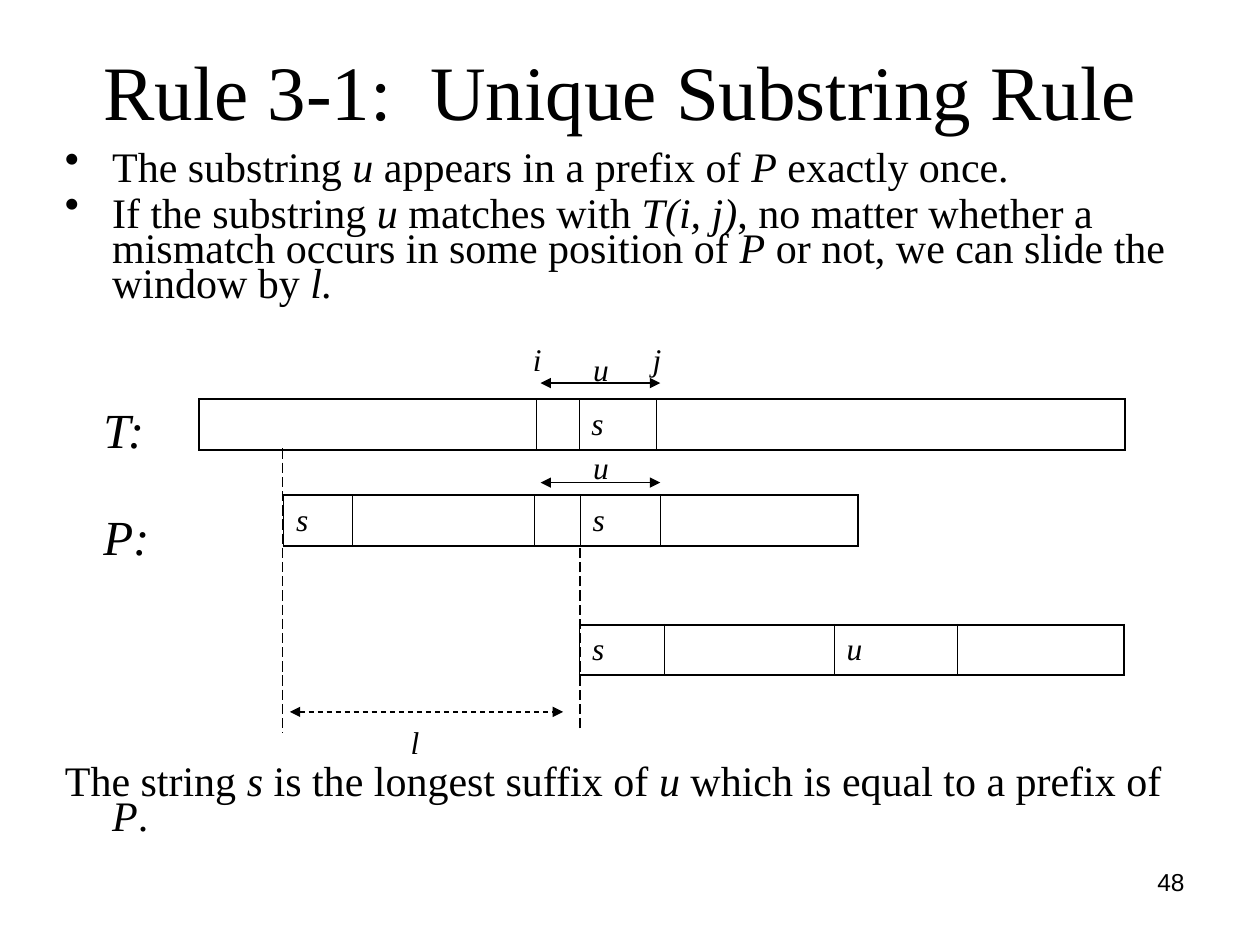
from lxml.etree import SubElement
from pptx import Presentation
from pptx.dml.color import RGBColor
from pptx.enum.dml import MSO_LINE
from pptx.enum.shapes import MSO_CONNECTOR
from pptx.enum.text import MSO_ANCHOR, PP_ALIGN
from pptx.oxml.ns import qn
from pptx.util import Pt


def color(value):
    return RGBColor.from_string(value)


class RulePage:
    ink = "000000"
    serif = "Times New Roman"
    sans = "Arial"
    label_size = 18
    outer_border = 1.08
    inner_border = 0.45

    def __init__(self, deck):
        self.page = deck.slides.add_slide(deck.slide_layouts[6])

    def style(self, para, size, name=None, italic=None):
        font = para.font
        font.name = name or self.serif
        font.size = Pt(size)
        font.color.rgb = color(self.ink)
        if italic is not None:
            font.italic = italic

    def add_spans(self, para, marked):
        for index, part in enumerate(marked.split("*")):
            if part:
                span = para.add_run()
                span.text = part
                span.font.italic = index % 2 == 1

    def box(self, left, top, width, height):
        frame = self.page.shapes.add_textbox(
            Pt(left), Pt(top), Pt(width), Pt(height)).text_frame
        frame.word_wrap = True
        return frame

    def line_of_text(self, text, left, top, width, height, size,
                     name=None, italic=False, align=PP_ALIGN.LEFT,
                     anchor=MSO_ANCHOR.TOP):
        frame = self.box(left, top, width, height)
        frame.vertical_anchor = anchor
        para = frame.paragraphs[0]
        para.text = text
        para.alignment = align
        self.style(para, size, name, italic)

    def label(self, text, left, top):
        self.line_of_text(text, left, top, 21, 29, self.label_size, italic=True)

    def body(self, texts, top, height, bullet=None):
        frame = self.box(30, top, 666, height)
        for index, text in enumerate(texts):
            para = frame.add_paragraph() if index else frame.paragraphs[0]
            para.line_spacing = 0.7
            if index:
                para.space_before = Pt(6)
            props = para._p.get_or_add_pPr()
            props.set("marL", str(Pt(27)))
            props.set("indent", str(Pt(-27)))
            if bullet:
                tint = SubElement(props, qn("a:buClr"))
                SubElement(tint, qn("a:srgbClr")).set("val", self.ink)
                SubElement(props, qn("a:buChar")).set("char", bullet)
            self.style(para, 24)
            self.add_spans(para, text)

    def border(self, cell, side, width):
        edge = SubElement(cell._tc.get_or_add_tcPr(), qn(f"a:ln{side}"))
        edge.set("w", str(Pt(width)))
        fill = SubElement(edge, qn("a:solidFill"))
        SubElement(fill, qn("a:srgbClr")).set("val", self.ink)

    def strip(self, left, top, widths, texts):
        height = Pt(28.8)
        table = self.page.shapes.add_table(
            1, len(widths), Pt(left), Pt(top), Pt(sum(widths)), height).table
        table.first_row = False
        table.horz_banding = False
        table.rows[0].height = height
        last = len(widths) - 1
        for index, (width, text) in enumerate(zip(widths, texts)):
            table.columns[index].width = Pt(width)
            cell = table.cell(0, index)
            cell.vertical_anchor = MSO_ANCHOR.MIDDLE
            para = cell.text_frame.paragraphs[0]
            para.text = text
            self.style(para, self.label_size, italic=True)
            sides = {"L": index == 0, "R": index == last, "T": True, "B": True}
            for side, outer in sides.items():
                self.border(cell, side, self.outer_border if outer else self.inner_border)
            cell.fill.background()

    def line(self, start, end, dash=None, arrows=False):
        connector = self.page.shapes.add_connector(
            MSO_CONNECTOR.STRAIGHT, *map(Pt, start + end))
        connector.line.color.rgb = color(self.ink)
        connector.line.width = Pt(0.75)
        if dash:
            connector.line.dash_style = dash
        if arrows:
            for tag in ("a:headEnd", "a:tailEnd"):
                SubElement(connector.line._get_or_add_ln(), qn(tag)).set("type", "triangle")
        SubElement(connector._element.spPr, qn("a:effectLst"))


def main():
    deck = Presentation()
    deck.slide_width, deck.slide_height = Pt(720), Pt(540)
    rule = RulePage(deck)

    rule.line_of_text("Rule 3-1:  Unique Substring Rule", 30.5, 12.2, 648, 77.8, 44,
                      align=PP_ALIGN.CENTER, anchor=MSO_ANCHOR.MIDDLE)
    rule.body(["The substring *u* appears in a prefix of *P* exactly once.",
               "If the substring *u* matches with *T(i, j)*, no matter whether a mismatch "
               "occurs in some position of *P* or not, we can slide the window by *l.*"],
              84.5, 100, "•")
    rule.body(["The string *s* is the longest suffix of *u* which is equal to a prefix of *P*."],
              435.5, 50)
    for name, top in (("T:", 224.5), ("P:", 285.7)):
        rule.line_of_text(name, 52, top, 50, 40, 28, italic=True)

    rule.strip(113.8, 228.2, [192.5, 24.5, 44.5, 267.5], ["", "", "s", ""])
    rule.strip(162, 283, [39.5, 104, 26, 46, 113], ["s", "", "", "s", ""])
    rule.strip(331.2, 357, [48.5, 97, 70.5, 95], ["s", "", "u", ""])

    for text, left, top in (("i", 297.4, 190.8), ("j", 365.8, 190.8), ("l", 227.5, 409.7),
                            ("u", 331.9, 252.7), ("u", 331.9, 196.6)):
        rule.label(text, left, top)

    rule.line((161.3, 256.3), (161.3, 419), MSO_LINE.LONG_DASH)
    rule.line((331.5, 416.2), (331.5, 311.8), MSO_LINE.LONG_DASH)
    rule.line((165.6, 406.8), (321.8, 406.8), MSO_LINE.DASH, arrows=True)
    for height in (275.8, 218.9):
        rule.line((308.9, height), (377.3, height), arrows=True)

    rule.line_of_text("48", 516.2, 491.8, 167.8, 37.4, 14, name=rule.sans,
                      align=PP_ALIGN.RIGHT)
    deck.save("out.pptx")


if __name__ == "__main__":
    main()
